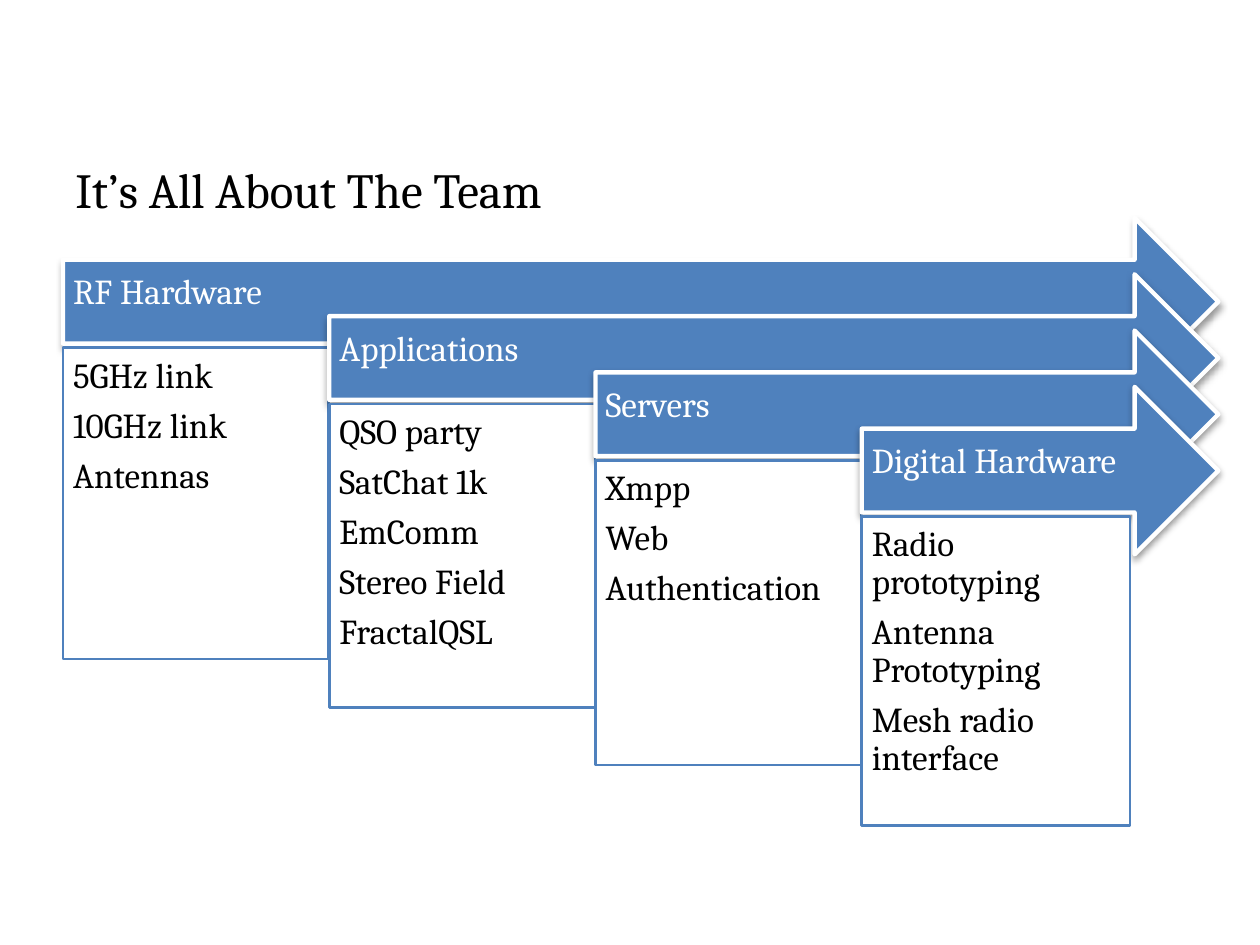
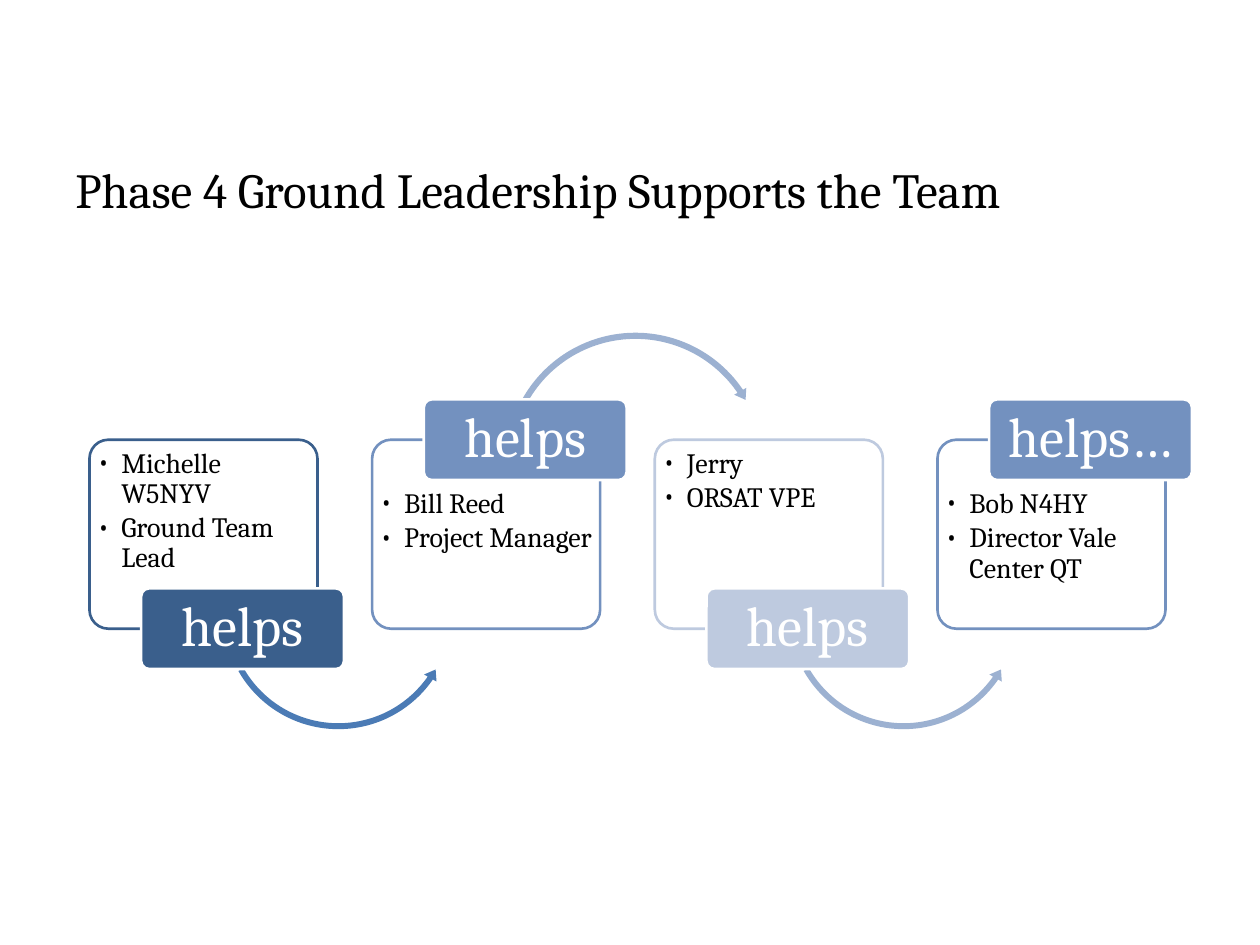
from lxml import etree
from pptx import Presentation
from pptx.dml.color import RGBColor
from pptx.enum.shapes import MSO_SHAPE
from pptx.enum.text import MSO_ANCHOR, PP_ALIGN
from pptx.oxml import parse_xml
from pptx.oxml.ns import nsdecls, qn
from pptx.util import Inches, Pt

FONT = "Cambria"
WHITE = RGBColor(0xFF, 0xFF, 0xFF)
BLACK = RGBColor(0x00, 0x00, 0x00)
BLUE = RGBColor(0x4F, 0x81, 0xBD)
NAVY = RGBColor(0x3A, 0x5F, 0x8C)
MID_BLUE = RGBColor(0x73, 0x91, 0xBF)
PALE_BLUE = RGBColor(0xBE, 0xCA, 0xDF)
ARROW_BLUE = RGBColor(0x4B, 0x7B, 0xB5)
ARROW_PALE = RGBColor(0x9C, 0xB1, 0xD1)

# Heading, items, height and width of the box under the arrow
TEAMS = [
    ("RF Hardware", ["5GHz link", "10GHz link", "Antennas"], 2.47, 2.11),
    ("Applications", ["QSO party", "SatChat 1k", "EmComm", "Stereo Field",
                      "FractalQSL"], 2.41, 2.11),
    ("Servers", ["Xmpp", "Web", "Authentication"], 2.42, 2.11),
    ("Digital Hardware", ["Radio prototyping", "Antenna Prototyping",
                          "Mesh radio interface"], 2.45, 2.13),
]

# Items, badge text, card colour, colour of the arrow to the next card
LEADERS = [
    (["Michelle W5NYV", "Ground Team Lead"], "helps", NAVY, ARROW_BLUE),
    (["Bill Reed", "Project Manager"], "helps", MID_BLUE, ARROW_PALE),
    (["Jerry", "ORSAT VPE"], "helps", PALE_BLUE, ARROW_PALE),
    (["Bob N4HY", "Director Vale Center QT"], "helps…", MID_BLUE, None),
]


def add_block(slide, kind, box, fill, line=None, width=1.5, adj=()):
    sp = slide.shapes.add_shape(kind, *[Inches(v) for v in box])
    sp.shadow.inherit = False
    sp.fill.solid()
    sp.fill.fore_color.rgb = fill
    if line is None:
        sp.line.fill.background()
    else:
        sp.line.color.rgb = line
        sp.line.width = Pt(width)
    for i, value in enumerate(adj):
        sp.adjustments[i] = value
    return sp


def add_text(sp, lines, size, color, insets, anchor=MSO_ANCHOR.TOP,
             align=PP_ALIGN.LEFT, spacing=0.9, after=0.35, bullets=False):
    """Write one paragraph per line; after is a share of the text size."""
    tf = sp.text_frame
    tf.word_wrap = True
    tf.vertical_anchor = anchor
    (tf.margin_left, tf.margin_top,
     tf.margin_right, tf.margin_bottom) = [Inches(v) for v in insets]
    for i, line in enumerate(lines):
        p = tf.add_paragraph() if i else tf.paragraphs[0]
        p.alignment = align
        p.line_spacing = spacing
        p.space_after = Pt(size * after)
        if bullets:
            add_bullet(p)
        r = p.add_run()
        r.text = line
        r.font.name = FONT
        r.font.size = Pt(size)
        r.font.color.rgb = color


def add_bullet(p):
    pPr = p._p.get_or_add_pPr()
    pPr.set("marL", str(Inches(0.19)))
    pPr.set("indent", str(-Inches(0.19)))
    etree.SubElement(pPr, qn("a:buFont")).set("typeface", FONT)
    etree.SubElement(pPr, qn("a:buChar")).set("char", "•")


def add_shadow(sp):
    effects = sp._element.spPr.find(qn("a:effectLst"))
    effects.append(parse_xml(
        f'<a:outerShdw {nsdecls("a")} blurRad="{Pt(4.1)}" dist="{Pt(2)}" '
        'dir="5400000" rotWithShape="0"><a:srgbClr val="000000">'
        '<a:alpha val="40000"/></a:srgbClr></a:outerShdw>'))


def add_title(slide, text):
    box = slide.shapes.add_textbox(Inches(0.5), Inches(1), Inches(9), Inches(1))
    add_text(box, [text], 28, BLACK, (0.1, 0.05, 0.1, 0.05),
             MSO_ANCHOR.MIDDLE, spacing=1.0, after=0)


def add_team(slide, i, heading, items, height, width):
    """Draw a heading arrow and its box; each step moves right and down."""
    left, top = 0.5 + 6.34 * i / 3, 1.73 + 1.34 * i / 3
    arrow = add_block(slide, MSO_SHAPE.RIGHT_ARROW,
                      (left, top, 9.67 - left, 1.33), BLUE, WHITE, 2.5)
    add_shadow(arrow)
    add_text(arrow, [heading], 20, WHITE, (0.08, 0.08, 0.28, 0.21),
             MSO_ANCHOR.MIDDLE)
    body = add_block(slide, MSO_SHAPE.RECTANGLE,
                     (left, top + 1.03, width, height), WHITE, BLUE)
    add_text(body, items, 20, BLACK, (0.08,) * 4)


def add_leader(slide, i, items, badge_text, color, arrow_color):
    """Draw a card with its badge, at the top of every second card."""
    left = 0.71 + 6.73 * i / 3
    badge_on_top = i % 2 == 1
    card = add_block(slide, MSO_SHAPE.ROUNDED_RECTANGLE,
                     (left, 3.49, 1.81, 1.5), WHITE, color, adj=[0.1])
    add_text(card, items, 16, BLACK,
             (0.02, 0.35 if badge_on_top else 0.03, 0, 0.03),
             after=0.15, bullets=True)
    if arrow_color is not None:
        add_curved_arrow(slide, left + 1.03, badge_on_top, arrow_color)
    badge = add_block(slide, MSO_SHAPE.ROUNDED_RECTANGLE,
                      (left + 0.41, 3.17 if badge_on_top else 4.67, 1.61, 0.64),
                      color, WHITE, adj=[0.1])
    add_text(badge, [badge_text], 32, WHITE, (0.07, 0.04, 0.07, 0.04),
             MSO_ANCHOR.MIDDLE, PP_ALIGN.CENTER)


def add_curved_arrow(slide, left, over, color):
    if over:
        kind, top, size = MSO_SHAPE.CIRCULAR_ARROW, 2.61, 2.12
        adj = [0.023, 2.738, 195.507, 125.755, 0.026]
    else:
        kind, top, size = MSO_SHAPE.LEFT_CIRCULAR_ARROW, 3.93, 1.89
        adj = [0.025, 3.094, 20.849, 90.245, 0.03]
    add_block(slide, kind, (left, top, size, size), color, adj=adj)


def add_slide(prs, title, add_item, items):
    slide = prs.slides.add_slide(prs.slide_layouts[6])
    for i, item in enumerate(items):
        add_item(slide, i, *item)
    add_title(slide, title)


def main():
    prs = Presentation()
    prs.slide_width, prs.slide_height = Inches(10), Inches(7.5)
    add_slide(prs, "It’s All About The Team", add_team, TEAMS)
    add_slide(prs, "Phase 4 Ground Leadership Supports the Team",
              add_leader, LEADERS)
    prs.save("out.pptx")


if __name__ == "__main__":
    main()
